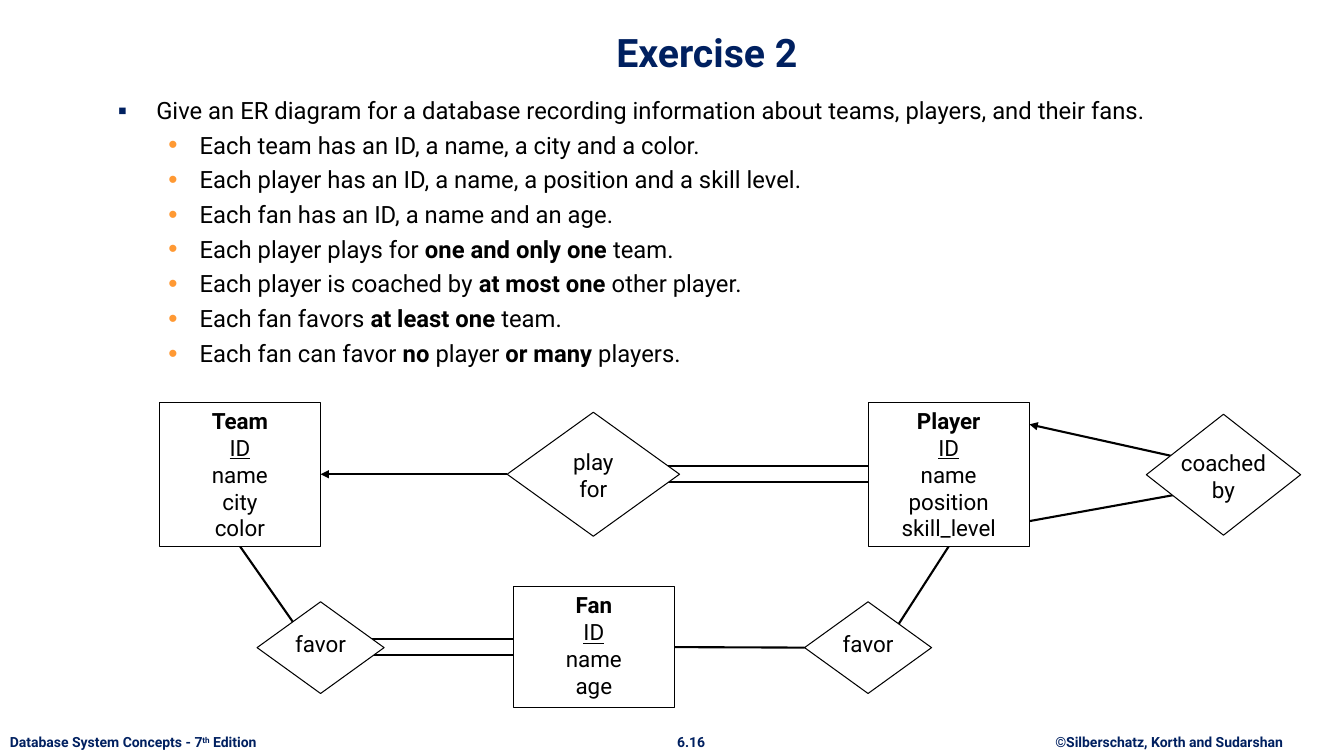
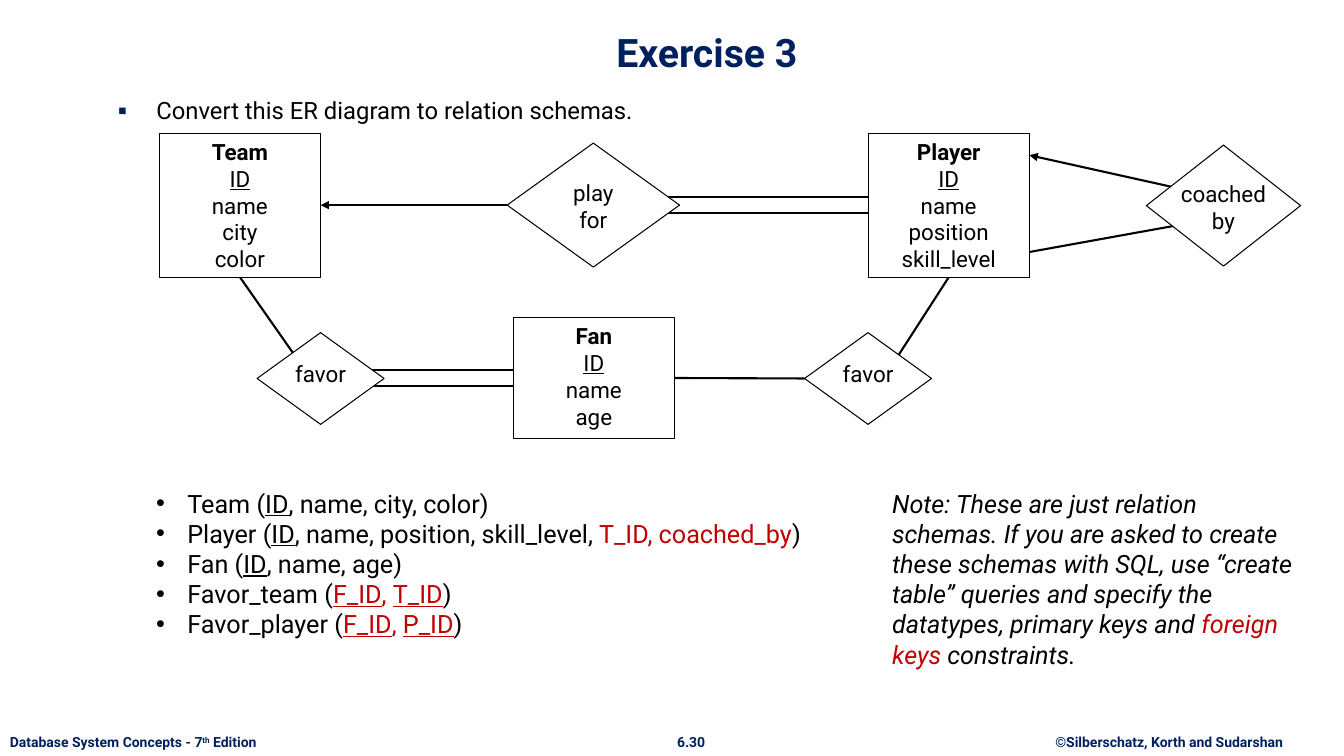
"""Build two exercise slides on an ER diagram and its relation schemas."""
from lxml.etree import SubElement
from pptx import Presentation
from pptx.dml.color import RGBColor
from pptx.enum.shapes import MSO_CONNECTOR, MSO_SHAPE
from pptx.enum.text import MSO_ANCHOR, MSO_AUTO_SIZE, PP_ALIGN
from pptx.oxml.ns import qn
from pptx.util import Inches, Pt

FONT = "Roboto"
HUE = {"navy": "002060", "ink": "000000", "red": "C00000", "orange": "FF9933", "white": "FFFFFF"}
LEFT, MID = PP_ALIGN.LEFT, PP_ALIGN.CENTER
RECT, GEM = MSO_SHAPE.RECTANGLE, MSO_SHAPE.FLOWCHART_DECISION

NODES = {
    "team": (RECT, 1.58, 0, 1.6, 1.43, ["Team", "ID", "name", "city", "color"]),
    "player": (RECT, 8.61, 0, 1.6, 1.43, ["Player", "ID", "name", "position", "skill_level"]),
    "fan": (RECT, 5.09, 1.83, 1.6, 1.2, ["Fan", "ID", "name", "age"]),
    "play": (GEM, 5.03, 0.1, 1.71, 1.23, ["play", "for"]),
    "likes team": (GEM, 2.55, 1.98, 1.26, 0.91, ["favor"]),
    "likes player": (GEM, 7.98, 1.98, 1.26, 0.91, ["favor"]),
    "coach": (GEM, 11.37, 0.12, 1.53, 1.2, ["coached", "by"]),
}
LINKS = [
    ((6.53, 0.63), (8.62, 0.63), False),
    ((6.53, 0.79), (8.62, 0.79), False),
    (("play", 1), ("team", 3), True),
    ((10.21, 1.18), (11.65, 0.92), False),
    ((11.65, 0.54), (10.21, 0.22), True),
    ((3.54, 2.35), (5.63, 2.35), False),
    ((3.54, 2.51), (5.63, 2.51), False),
    (("team", 2), (3.08, 2.43), False),
    (("fan", 3), ("likes player", 1), False),
    ((8.83, 2.33), ("player", 2), False),
]
TASKS = [
    [("Each team has an ID, a name, a city and a color.", "")],
    [("Each player has an ID, a name, a position and a skill level.", "")],
    [("Each fan has an ID, a name and an age.", "")],
    [("Each player plays for ", ""), ("one and only one ", "b"), ("team.", "")],
    [("Each player is coached by ", ""), ("at most one ", "b"), ("other player.", "")],
    [("Each fan favors ", ""), ("at least one", "b"), (" team.", "")],
    [("Each fan can favor ", ""), ("no ", "b"), ("player ", ""), ("or many ", "b"), ("players.", "")],
]
SLIDES = [
    ("Exercise 2", "6.16", 3.99, "Give an ER diagram for a database recording information "
     "about teams, players, and their fans.", TASKS),
    ("Exercise 3", "6.30", 1.32, "Convert this ER diagram to relation schemas.", []),
]
EDITION = [("Database System Concepts - 7", "b"), ("th", "b^"), (" Edition", "b")]
OWNER = [("©Silberschatz, Korth and Sudarshan", "b")]
SCHEMAS = [
    [("Team (", ""), ("ID", "u"), (", name, city, color)", "")],
    [("Player (", ""), ("ID", "u"), (", name, position, skill_level,", ""),
     (" T_ID, coached_by", "r"), (")", "")],
    [("Fan (", ""), ("ID", "u"), (", name, age)", "")],
    [("Favor_team (", ""), ("F_ID", "ur"), (", ", "r"), ("T_ID", "ur"), (")", "")],
    [("Favor_player (", ""), ("F_ID", "ur"), (", ", "r"), ("P_ID", "ur"), (")", "")],
]
NOTE = [
    ("Note: These are just relation schemas. If you are asked to create these schemas with SQL, "
     "use “create table” queries and specify the datatypes, primary keys and ", "i"),
    ("foreign keys", "ir"), (" constraints.", "i"),
]


def write(frame, rows, size, hue="ink", align=LEFT):
    """Fill a frame, one row of runs a paragraph; letters mark b, i, u, r for red, ^ for raised."""
    for num, row in enumerate(rows):
        para = frame.add_paragraph() if num else frame.paragraphs[0]
        para.alignment = align
        for text, style in row:
            run = para.add_run()
            run.text = text
            font = run.font
            font.name, font.size = FONT, Pt(size)
            font.bold, font.italic, font.underline = (mark in style for mark in "biu")
            font.color.rgb = RGBColor.from_string(HUE["red" if "r" in style else hue])
            if "^" in style:
                run._r.get_or_add_rPr().set("baseline", "30000")


def bullet(para, char, left, hang, hue, size):
    """Give a paragraph a coloured bullet and a hanging indent."""
    props = para._p.get_or_add_pPr()
    props.set("marL", str(Inches(left)))
    props.set("indent", str(-Inches(hang)))
    SubElement(SubElement(props, qn("a:buClr")), qn("a:srgbClr")).set("val", HUE[hue])
    SubElement(props, qn("a:buSzPct")).set("val", str(size * 1000))
    SubElement(props, qn("a:buFont")).set("typeface", "Arial")
    SubElement(props, qn("a:buChar")).set("char", char)


deck = Presentation()
deck.slide_width, deck.slide_height = Inches(13.33), Inches(7.5)

for name, page, top, lead, tasks in SLIDES:
    slide = deck.slides.add_slide(deck.slide_layouts[1])
    shapes = slide.shapes

    title, body = shapes.title, slide.placeholders[1]
    for holder, box, anchor in [
        (title, (1.12, 0.13, 11.78, 0.67), MSO_ANCHOR.BOTTOM),
        (body, (1.07, 0.93, 11.88, 4.48), MSO_ANCHOR.TOP),
    ]:
        holder.left, holder.top, holder.width, holder.height = map(Inches, box)
        holder.text_frame.auto_size = MSO_AUTO_SIZE.NONE
        holder.text_frame.vertical_anchor = anchor
    write(title.text_frame, [[(name, "b")]], 28, "navy", MID)
    write(body.text_frame, [[(lead, "")]] + tasks, 17)
    for num, para in enumerate(body.text_frame.paragraphs):
        para.line_spacing = 0.9
        para.space_before = Pt(6.4 if num else 0)
        if num:
            para.level = 1
            bullet(para, "•", 0.81, 0.31, "orange", 110)
        else:
            bullet(para, "▪", 0.38, 0.38, "navy", 110)

    for left, width, runs, align in [
        (0, 2.84, EDITION, LEFT), (6.61, 0.49, [(page, "b")], MID), (10.28, 2.63, OWNER, MID),
    ]:
        foot = shapes.add_textbox(Inches(left), Inches(7.23), Inches(width), Inches(0.27))
        foot.text_frame.word_wrap = True
        write(foot.text_frame, [runs], 10, "navy", align)

    nodes = {}
    for key, (kind, left, down, width, height, words) in NODES.items():
        node = shapes.add_shape(kind, Inches(left), Inches(top + down), Inches(width), Inches(height))
        node.shadow.inherit = False
        node.fill.solid()
        node.fill.fore_color.rgb = RGBColor.from_string(HUE["white"])
        node.line.color.rgb = RGBColor.from_string(HUE["ink"])
        node.line.width = Pt(0.75)
        node.text_frame.word_wrap = False
        node.text_frame.vertical_anchor = MSO_ANCHOR.TOP
        marks = ["b", "u"] if kind == RECT else []
        marks += [""] * (len(words) - len(marks))
        write(node.text_frame, [[pair] for pair in zip(words, marks)], 16, "ink", MID)
        nodes[key] = node

    for start, end, arrow in LINKS:
        spots = [(0, 0) if spot[0] in nodes else (Inches(spot[0]), Inches(top + spot[1]))
                 for spot in (start, end)]
        link = shapes.add_connector(MSO_CONNECTOR.STRAIGHT, *spots[0], *spots[1])
        for spot, join in ((start, link.begin_connect), (end, link.end_connect)):
            if spot[0] in nodes:
                join(nodes[spot[0]], spot[1])
        link.line.color.rgb = RGBColor.from_string(HUE["ink"])
        link.line.width = Pt(1.5)
        if arrow:
            SubElement(link.line._get_or_add_ln(), qn("a:tailEnd")).set("type", "triangle")
        SubElement(link._element.spPr, qn("a:effectLst"))
        nodes["team"]._element.addprevious(link._element)

for left, width, height, rows in [(1.45, 6.91, 1.62, SCHEMAS), (8.75, 4.33, 1.92, [NOTE])]:
    box = shapes.add_textbox(Inches(left), Inches(4.79), Inches(width), Inches(height))
    box.text_frame.word_wrap = True
    write(box.text_frame, rows, 18)
    if rows is SCHEMAS:
        for para in box.text_frame.paragraphs:
            bullet(para, "•", 0.31, 0.31, "ink", 100)

deck.save("out.pptx")
